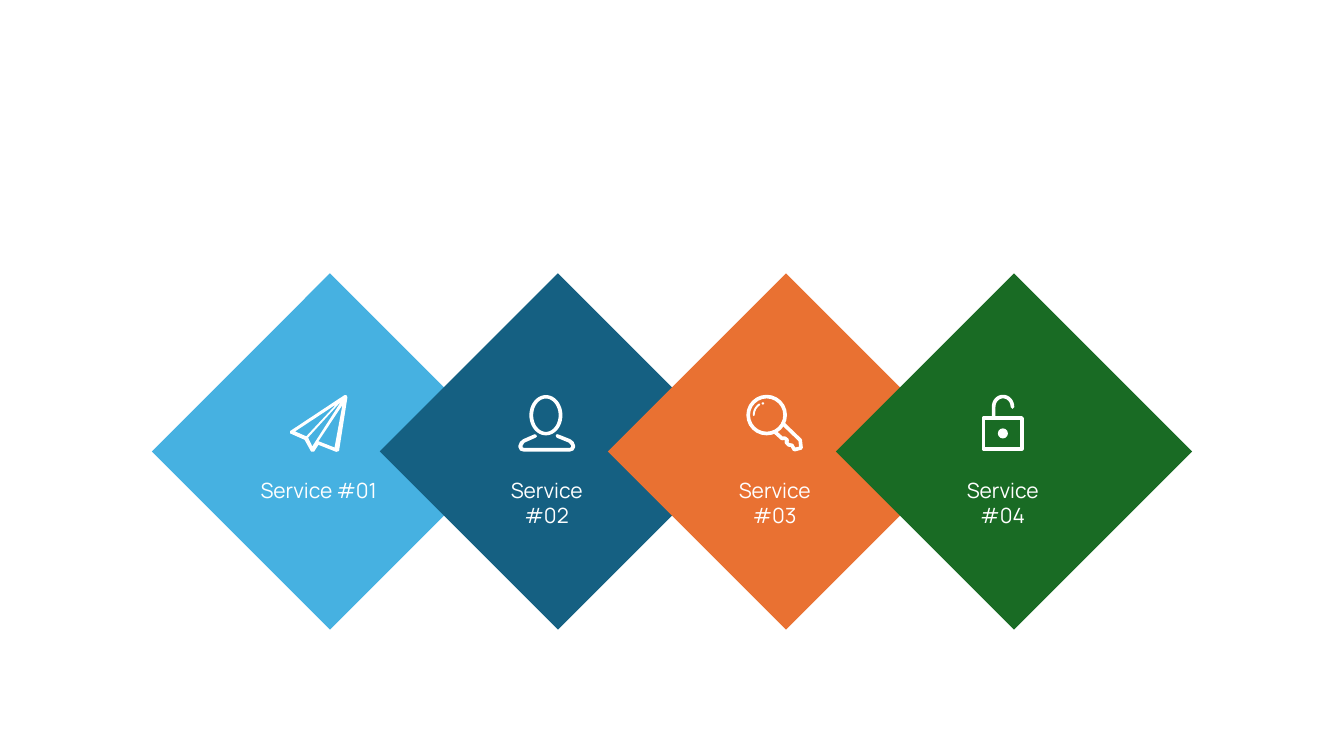
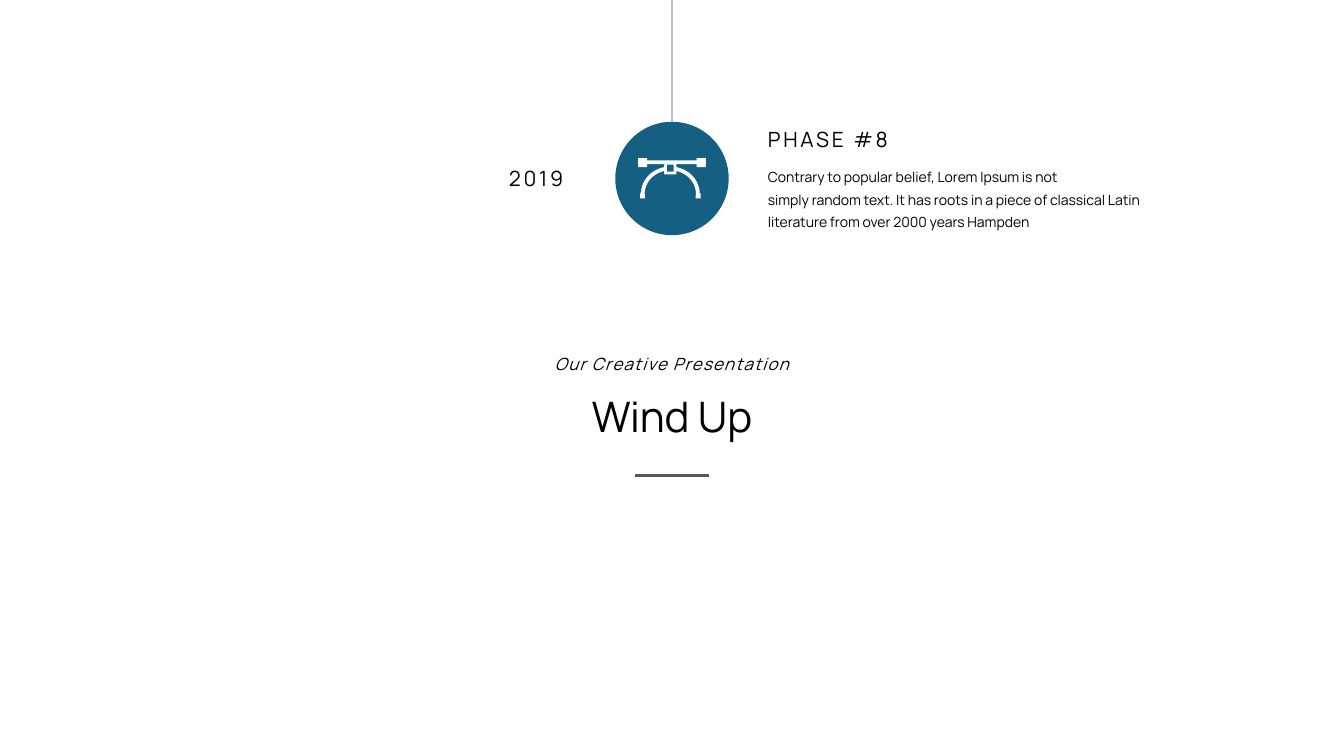
import math

from lxml import etree
from pptx import Presentation
from pptx.dml.color import RGBColor
from pptx.enum import shapes, text
from pptx.oxml import ns
from pptx.util import Pt

FONT = "Manrope"
WHITE = RGBColor(0xFF, 0xFF, 0xFF)
BLACK = RGBColor(0x00, 0x00, 0x00)
SKY = RGBColor(0x46, 0xB1, 0xE1)
TEAL = RGBColor(0x15, 0x60, 0x82)
ORANGE = RGBColor(0xE9, 0x71, 0x32)
GREEN = RGBColor(0x19, 0x6B, 0x24)
DARK_GREY = RGBColor(0x59, 0x59, 0x59)
LIGHT_GREY = RGBColor(0xBF, 0xBF, 0xBF)

SLIDE_WIDTH, SLIDE_HEIGHT = 960, 540
CENTER_X = SLIDE_WIDTH / 2
ICON_STROKE = 2.6
DIAMOND_SIDE = 180
DIAMOND_PITCH = 162.86

RECTANGLE = shapes.MSO_SHAPE.RECTANGLE
OVAL = shapes.MSO_SHAPE.OVAL
LEFT, CENTER = text.PP_ALIGN.LEFT, text.PP_ALIGN.CENTER


def add_text(slide, box, content, size=15, color=BLACK, align=LEFT,
             italic=False, spacing=0, line_spacing=None):
    """Place text; each line of content becomes one paragraph."""
    frame = slide.shapes.add_textbox(*map(Pt, box)).text_frame
    frame.word_wrap = True
    frame.auto_size = text.MSO_AUTO_SIZE.SHAPE_TO_FIT_TEXT
    for index, line in enumerate(content.split("\n")):
        paragraph = frame.add_paragraph() if index else frame.paragraphs[0]
        paragraph.alignment = align
        if line_spacing:
            paragraph.line_spacing = Pt(line_spacing)
        run = paragraph.add_run()
        run.text = line
        run.font.name = FONT
        run.font.size = Pt(size)
        run.font.color.rgb = color
        if italic:
            run.font.italic = True
        if spacing:
            run._r.get_or_add_rPr().set("spc", str(spacing * 100))


def paint(shape, fill=None, line=None, width=ICON_STROKE):
    shape.shadow.inherit = False
    if fill is None:
        shape.fill.background()
    else:
        shape.fill.solid()
        shape.fill.fore_color.rgb = fill
    if line is None:
        shape.line.fill.background()
    else:
        shape.line.color.rgb = line
        shape.line.width = Pt(width)
        outline = shape._element.spPr.find(ns.qn("a:ln"))
        outline.set("cap", "rnd")
        etree.SubElement(outline, ns.qn("a:round"))
    return shape


def add_preset(slide, preset, box, **style):
    return paint(slide.shapes.add_shape(preset, *map(Pt, box)), **style)


def add_line(slide, start, end, color):
    connector = slide.shapes.add_connector(
        shapes.MSO_CONNECTOR.STRAIGHT, *map(Pt, start + end))
    connector.line.color.rgb = color
    connector.line.width = Pt(2)
    etree.SubElement(connector._element.spPr, ns.qn("a:effectLst"))
    return connector


def arc(center_x, center_y, radius_x, radius_y, start, end, steps=16):
    """Points along an elliptical arc; angles in degrees, clockwise."""
    angles = [math.radians(start + (end - start) * step / steps)
              for step in range(steps + 1)]
    return [(center_x + radius_x * math.cos(angle),
             center_y + radius_y * math.sin(angle)) for angle in angles]


class Icon:
    """White drawing tools whose coordinates start at the icon's corner."""

    def __init__(self, slide, left, top):
        self.slide, self.left, self.top = slide, left, top

    def preset(self, kind, left, top, width, height, **style):
        box = (self.left + left, self.top + top, width, height)
        add_preset(self.slide, kind, box, **style)

    def outline(self, contours, closed, **style):
        placed = [[(Pt(self.left + x), Pt(self.top + y)) for x, y in contour]
                  for contour in contours]
        builder = self.slide.shapes.build_freeform(*placed[0][0], scale=1.0)
        for index, contour in enumerate(placed):
            if index:
                builder.move_to(*contour[0])
            builder.add_line_segments(contour[1:], close=closed)
        paint(builder.convert_to_shape(), **style)

    def solid(self, *contours):
        """Fill the first contour; contours inside it become holes."""
        self.outline(contours, True, fill=WHITE)

    def stroke(self, points, width=ICON_STROKE):
        self.outline([points], False, line=WHITE, width=width)


def draw_plane(icon):
    icon.solid(
        [(40.2, 0), (41, 1.5), (35, 40), (33, 40.6), (20.3, 35.6),
         (17.2, 40.4), (15, 40.4), (10.4, 32), (0, 27.4), (0, 25.8),
         (39, 0)],
        [(3.6, 26), (33.2, 6.5), (11.6, 29.5)],
        [(12.9, 30.4), (36.7, 4.3), (15.9, 36.7)],
        [(31.8, 37.5), (20.3, 33), (37.4, 7.2)])


def draw_person(icon):
    icon.solid(
        arc(19.6, 14.4, 11.8, 14.4, 0, 360, 48),
        arc(19.6, 14.4, 9.1, 11.9, 0, 360, 48),
        [(28.1, 28), (37, 31.5), (39.4, 33.4), (40.4, 36), (40.4, 37.4),
         (39.2, 39.6), (36.7, 40.4), (3.7, 40.4), (1.1, 39.6), (0, 37.4),
         (0, 36), (1.1, 33.4), (3.4, 31.5), (11.5, 28), (12.8, 28.4),
         (13.1, 29.6), (12.2, 30.5), (4.3, 34), (2.9, 36), (2.9, 37.2),
         (4, 37.8), (36.6, 37.8), (37.6, 37.2), (37.6, 36), (36, 34),
         (27.4, 30.5), (26.6, 29.2), (27, 28.2)])


def draw_key(icon):
    icon.preset(OVAL, 1.2, 1.1, 26.4, 26.4, line=WHITE)
    icon.stroke([(19.8, 25.9), (25.4, 31), (27.4, 30.8), (29.2, 32.2),
                 (28.4, 33.8), (30.2, 35.6), (32.4, 35.8), (34.2, 39),
                 (39, 37.8), (38.4, 32.2), (25.9, 20.2)])
    icon.stroke(arc(14.4, 14.3, 9.2, 9.2, 180, 236), width=1.4)
    icon.preset(OVAL, 10.8, 5.2, 1.8, 1.6, fill=WHITE)


def draw_lock(icon):
    icon.preset(RECTANGLE, 1.4, 16.4, 27.4, 22, line=WHITE)
    icon.stroke([(8.6, 16), *arc(15.3, 8.3, 6.7, 7.2, 180, 360), (22, 8.6)])
    icon.preset(OVAL, 11.6, 23.8, 7.2, 7.2, fill=WHITE)


def draw_vector_curve(icon):
    outer, inner = (23, 25.5, 21, 19.5), (23, 25.5, 18.3, 16.8)
    icon.solid(
        [(0, 0), (6.4, 0), (6.4, 1.6), (41.9, 1.6), (41.9, 0), (48.4, 0),
         (48.4, 6.4), (41.9, 6.4), (41.9, 4.3), (27.4, 4.3),
         *arc(*outer, 282, 359), (44.6, 25.2), (44.6, 28.8), (41, 28.8),
         *arc(*inner, 359, 284), (27.4, 11.6), (18.7, 11.6),
         *arc(*inner, 256, 181), (5, 28.8), (1.4, 28.8), (1.4, 25.2),
         *arc(*outer, 181, 258), (18.7, 4.3), (6.4, 4.3), (6.4, 6.4),
         (0, 6.4)],
        [(20.6, 4.6), (25.4, 4.6), (25.4, 9.6), (20.6, 9.6)])


def add_service(slide, left, top, name, color, draw_icon, icon_width):
    diamond = add_preset(slide, RECTANGLE,
                         (left, top, DIAMOND_SIDE, DIAMOND_SIDE), fill=color)
    diamond.rotation = 45
    label_width = 98.64
    content_center = left + DIAMOND_SIDE / 2 - 8
    draw_icon(Icon(slide, content_center - icon_width / 2, top + 49.7))
    add_text(slide, (content_center - label_width / 2, top + 105.2,
                     label_width, 25.2), name, color=WHITE, align=CENTER)


def add_services_slide(slide, left=145.7, top=232.5):
    services = (
        ("Service #01", SKY, draw_plane, 41),
        ("Service #02", TEAL, draw_person, 40.4),
        ("Service #03", ORANGE, draw_key, 40.4),
        ("Service #04", GREEN, draw_lock, 30.2),
    )
    for index, service in enumerate(services):
        add_service(slide, left + index * DIAMOND_PITCH, top, *service)


def add_phase(slide, top, year, title, body):
    """Timeline stop: year, circle hung from the top edge, description."""
    diameter = 81
    circle = add_preset(slide, OVAL, (CENTER_X - diameter / 2, top,
                                      diameter, diameter), fill=TEAL)
    stem = add_line(slide, (CENTER_X, 0), (CENTER_X, top), LIGHT_GREY)
    stem.end_connect(circle, 0)
    draw_vector_curve(Icon(slide, CENTER_X - 24.2, top + 26))
    add_text(slide, (CENTER_X - 123.6, top + 27.5, 62, 25.2), year, spacing=2)
    text_left = CENTER_X + 61.4
    add_text(slide, (text_left, top, 151, 25.2), title, spacing=2)
    add_text(slide, (text_left, top + 26, 312.5, 54.7), body,
             size=10, line_spacing=16)


def add_closing(slide, top):
    add_text(slide, (CENTER_X - 107.6, top, 215.2, 21.6),
             "Our Creative Presentation", size=12, align=CENTER,
             italic=True, spacing=1)
    add_text(slide, (CENTER_X - 157, top + 26.2, 314, 44), "Wind Up",
             size=30, align=CENTER)
    rule_y = top + 90.5
    add_line(slide, (CENTER_X - 26.4, rule_y), (CENTER_X + 26.4, rule_y),
             DARK_GREY)


def add_wind_up_slide(slide):
    add_phase(slide, 87, "2019", "PHASE #8",
              "Contrary to popular belief, Lorem Ipsum is not\n"
              "simply random text. It has roots in a piece of classical "
              "Latin literature from over 2000 years Hampden")
    add_closing(slide, 249.1)


def main():
    presentation = Presentation()
    presentation.slide_width = Pt(SLIDE_WIDTH)
    presentation.slide_height = Pt(SLIDE_HEIGHT)
    blank = presentation.slide_layouts[6]
    for build in (add_services_slide, add_wind_up_slide):
        build(presentation.slides.add_slide(blank))
    presentation.save("out.pptx")


if __name__ == "__main__":
    main()
